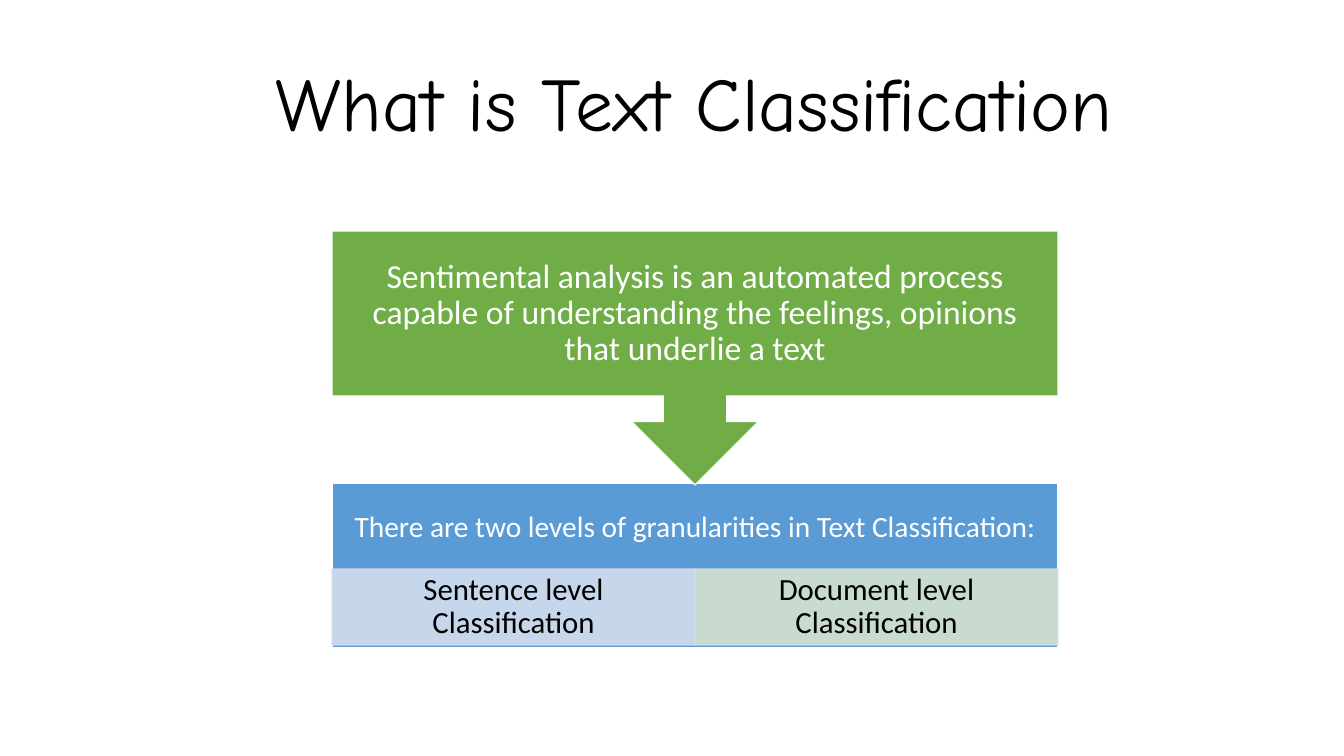
import dataclasses

import lxml.etree
import pptx
import pptx.dml.color
import pptx.enum.shapes
import pptx.enum.text
import pptx.oxml.ns
import pptx.util

SHAPES = pptx.enum.shapes.MSO_SHAPE


@dataclasses.dataclass(frozen=True)
class Theme:
    """Colours, fonts and type sizes of the slide."""
    title_font: str = "Comic Neue"
    body_font: str = "Calibri"
    title_size: int = 54
    definition_size: int = 24
    heading_size: int = 21
    level_size: int = 22
    dark: str = "000000"
    light: str = "FFFFFF"
    green: str = "70AD47"
    blue: str = "5B9BD5"
    pale_blue: str = "D2DEEF"
    pale_green: str = "D5E3CF"


class SlideBuilder:
    """Draws styled elements on one slide, with lengths in px."""
    SCALE = 914400 / 100.8

    def __init__(self, theme):
        """Create the presentation and its slide."""
        self.theme = theme
        self.deck = pptx.Presentation()
        self.deck.slide_width = self.emu(1344)
        self.deck.slide_height = self.emu(756)
        self.slide = self.deck.slides.add_slide(self.deck.slide_layouts[5])

    def emu(self, px):
        """Convert px to EMU."""
        return pptx.util.Emu(round(px * self.SCALE))

    def set_text(self, holder, text, font, size, color, insets=(10, 5)):
        """Fill a shape with one centred, wrapped paragraph."""
        frame = holder.text_frame
        frame.text = text
        frame.word_wrap = True
        frame.auto_size = pptx.enum.text.MSO_AUTO_SIZE.NONE
        frame.vertical_anchor = pptx.enum.text.MSO_ANCHOR.MIDDLE
        frame.margin_left = frame.margin_right = self.emu(insets[0])
        frame.margin_top = frame.margin_bottom = self.emu(insets[1])
        paragraph = frame.paragraphs[0]
        paragraph.alignment = pptx.enum.text.PP_ALIGN.CENTER
        paragraph.line_spacing = 0.9
        paragraph.font.name = font
        paragraph.font.size = pptx.util.Pt(size)
        paragraph.font.color.rgb = pptx.dml.color.RGBColor.from_string(color)

    def title(self, box, text):
        """Place and format the title placeholder."""
        heading = self.slide.shapes.title
        heading.left, heading.top, heading.width, heading.height = map(self.emu, box)
        self.set_text(heading, text, self.theme.title_font, self.theme.title_size, self.theme.dark)

    def block(self, kind, box, fill, line, opacity=100):
        """Add a filled and outlined preset shape."""
        block = self.slide.shapes.add_shape(kind, *map(self.emu, box))
        block.shadow.inherit = False
        block.line.width = pptx.util.Pt(1)
        for paint, color in ((block.fill, fill), (block.line.fill, line)):
            paint.solid()
            paint.fore_color.rgb = pptx.dml.color.RGBColor.from_string(color)
        if opacity < 100:
            for color in block.element.spPr.iter(pptx.oxml.ns.qn("a:srgbClr")):
                alpha = lxml.etree.SubElement(color, pptx.oxml.ns.qn("a:alpha"))
                alpha.set("val", str(opacity * 1000))
        return block

    def label(self, box, text, size, inset):
        """Add light body text in its own box."""
        label = self.slide.shapes.add_textbox(*map(self.emu, box))
        self.set_text(label, text, self.theme.body_font, size, self.theme.light, (inset, inset))

    def level(self, box, text, fill):
        """Add a translucent cell naming one level."""
        cell = self.block(SHAPES.RECTANGLE, box, fill, self.theme.pale_blue, 90)
        self.set_text(cell, text, self.theme.body_font, self.theme.level_size,
                      self.theme.dark, (17, 3))


def main():
    """Build and save the slide."""
    theme = Theme()
    builder = SlideBuilder(theme)
    left, width = 332, 726

    builder.title((115, 19, 1158, 176), "What is Text Classification")

    builder.block(SHAPES.RECTANGLE, (left, 483, width, 165), theme.blue, theme.light)
    builder.label((left, 483, width, 90),
                  "There are two levels of granularities in Text Classification:",
                  theme.heading_size, 16)

    levels = (("Sentence level Classification", theme.pale_blue),
              ("Document level Classification", theme.pale_green))
    level_width = width // len(levels)
    for index, (name, fill) in enumerate(levels):
        builder.level((left + index * level_width, 569, level_width, 76), name, fill)

    definition = builder.block(SHAPES.UP_ARROW_CALLOUT, (left, 231, width, 254),
                               theme.green, theme.light)
    definition.rotation = 180
    builder.label((left, 231, width, 165),
                  "Sentimental analysis is an automated process capable of "
                  "understanding the feelings, opinions that underlie a text",
                  theme.definition_size, 19)

    builder.deck.save("out.pptx")


if __name__ == "__main__":
    main()
